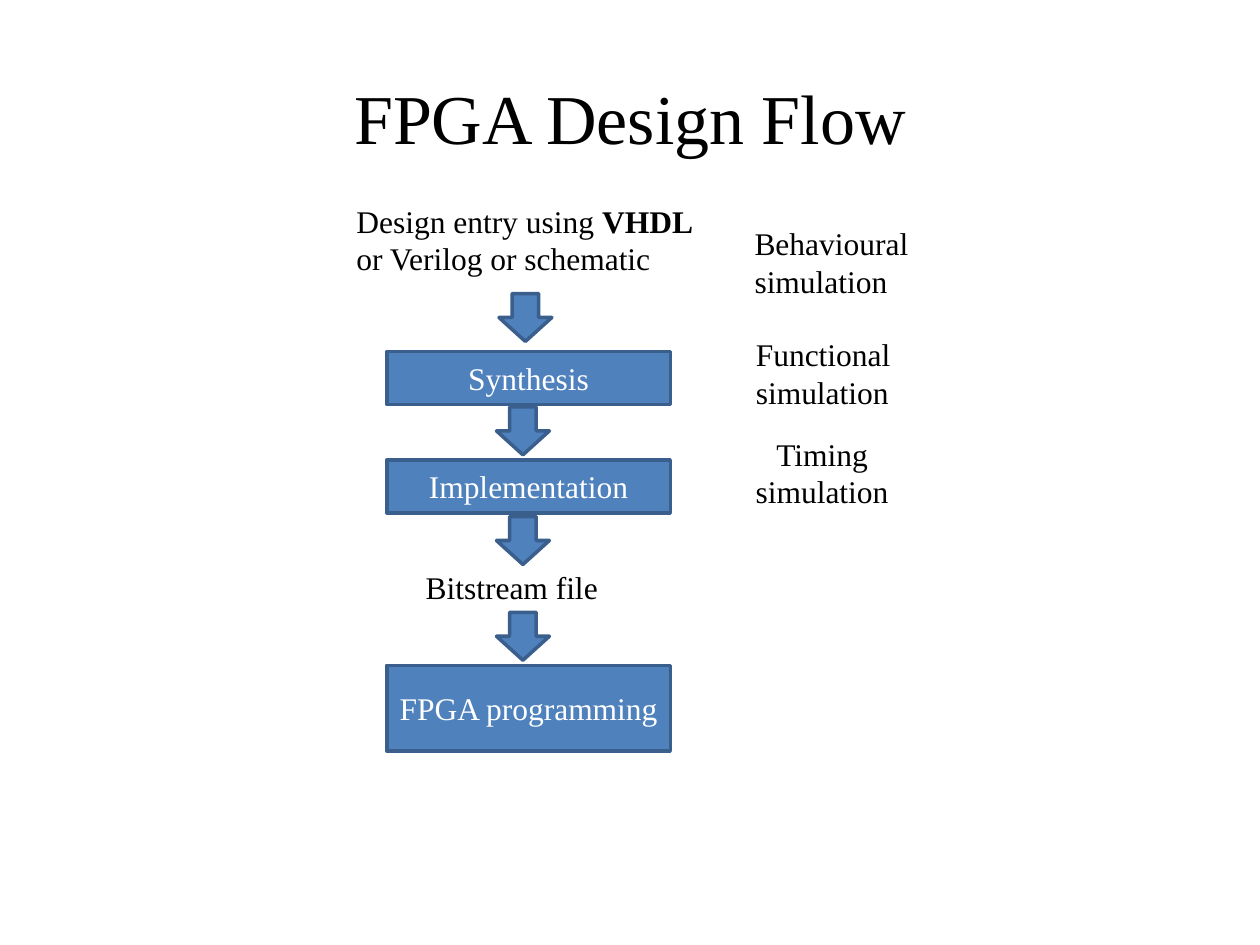
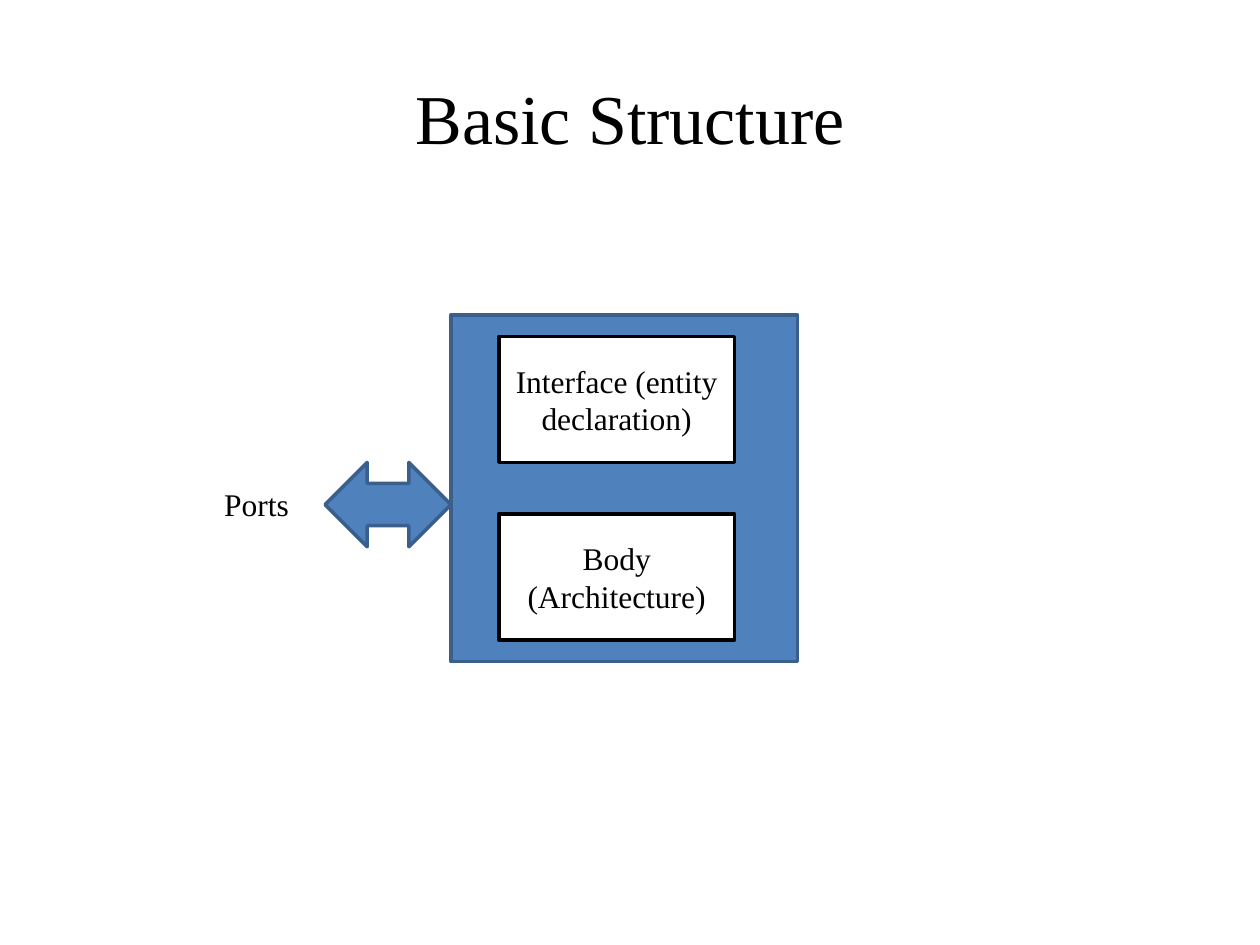
from pptx import Presentation
from pptx.dml.color import RGBColor
from pptx.enum.shapes import MSO_SHAPE
from pptx.enum.text import MSO_ANCHOR, PP_ALIGN
from pptx.util import Pt

PX = 9144  # 100 px to the inch
FONT = "Times New Roman"
COLORS = {
    name: RGBColor.from_string(code)
    for name, code in {
        "blue": "4F81BD",
        "edge": "3A5F8C",
        "black": "000000",
        "white": "FFFFFF",
    }.items()
}


def write(shape, runs, size=18, color="black", align=PP_ALIGN.CENTER, anchor=MSO_ANCHOR.MIDDLE):
    """Fill a shape with one paragraph of (text, bold) runs."""
    frame = shape.text_frame
    frame.word_wrap = True
    frame.vertical_anchor = anchor
    paragraph = frame.paragraphs[0]
    paragraph.alignment = align
    paragraph.font.name = FONT
    paragraph.font.size = Pt(size)
    paragraph.font.color.rgb = COLORS[color]
    for text, bold in runs:
        run = paragraph.add_run()
        run.text = text
        if bold:
            run.font.bold = True


def add_block(slide, preset, box, fill="blue", line="edge"):
    block = slide.shapes.add_shape(preset, *(n * PX for n in box))
    block.shadow.inherit = False
    block.fill.solid()
    block.fill.fore_color.rgb = COLORS[fill]
    block.line.color.rgb = COLORS[line]
    block.line.width = Pt(2)
    return block


prs = Presentation()
prs.slide_width, prs.slide_height = 1000 * PX, 750 * PX

slides = []
for heading in ("FPGA Design Flow", "Basic Structure"):
    slide = prs.slides.add_slide(prs.slide_layouts[5])
    title = slide.shapes.title
    title.left, title.top, title.width, title.height = (n * PX for n in (50, 30, 900, 125))
    write(title, [(heading, False)], size=40)
    slides.append(slide)
flow, structure = slides

# Design flow: steps joined by down arrows, simulations on the right
for left, top in ((396, 233), (394, 323), (394, 410), (394, 486)):
    add_block(flow, MSO_SHAPE.DOWN_ARROW, (left, top, 42, 38))

for step, top, height in (
    ("Synthesis", 279, 42),
    ("Implementation", 365, 42),
    ("FPGA programming", 528, 68),
):
    write(add_block(flow, MSO_SHAPE.RECTANGLE, (307, top, 225, height)),
          [(step, False)], color="white")

# Basic structure: entity and architecture inside one design unit
add_block(structure, MSO_SHAPE.RECTANGLE, (358, 250, 275, 275))
for part, top in (("Interface (entity declaration)", 267), ("Body (Architecture)", 408)):
    write(add_block(structure, MSO_SHAPE.RECTANGLE, (396, top, 187, 100), "white", "black"),
          [(part, False)])
add_block(structure, MSO_SHAPE.LEFT_RIGHT_ARROW, (258, 367, 100, 67))

# Plain labels of both slides
design_entry = [("Design entry using ", False), ("VHDL", True), (" or Verilog or schematic", False)]
for slide, runs, box, align in (
    (flow, design_entry, (273, 155, 292, 71), PP_ALIGN.LEFT),
    (flow, [("Bitstream file", False)], (328, 446, 177, 40), PP_ALIGN.LEFT),
    (flow, [("Behavioural simulation", False)], (589, 173, 143, 71), PP_ALIGN.LEFT),
    (flow, [("Functional simulation", False)], (590, 261, 142, 71), PP_ALIGN.LEFT),
    (flow, [("Timing simulation", False)], (586, 340, 133, 71), PP_ALIGN.CENTER),
    (structure, [("Ports", False)], (168, 380, 92, 40), PP_ALIGN.LEFT),
):
    label = slide.shapes.add_textbox(*(n * PX for n in box))
    write(label, runs, align=align, anchor=MSO_ANCHOR.TOP)

prs.save("out.pptx")
